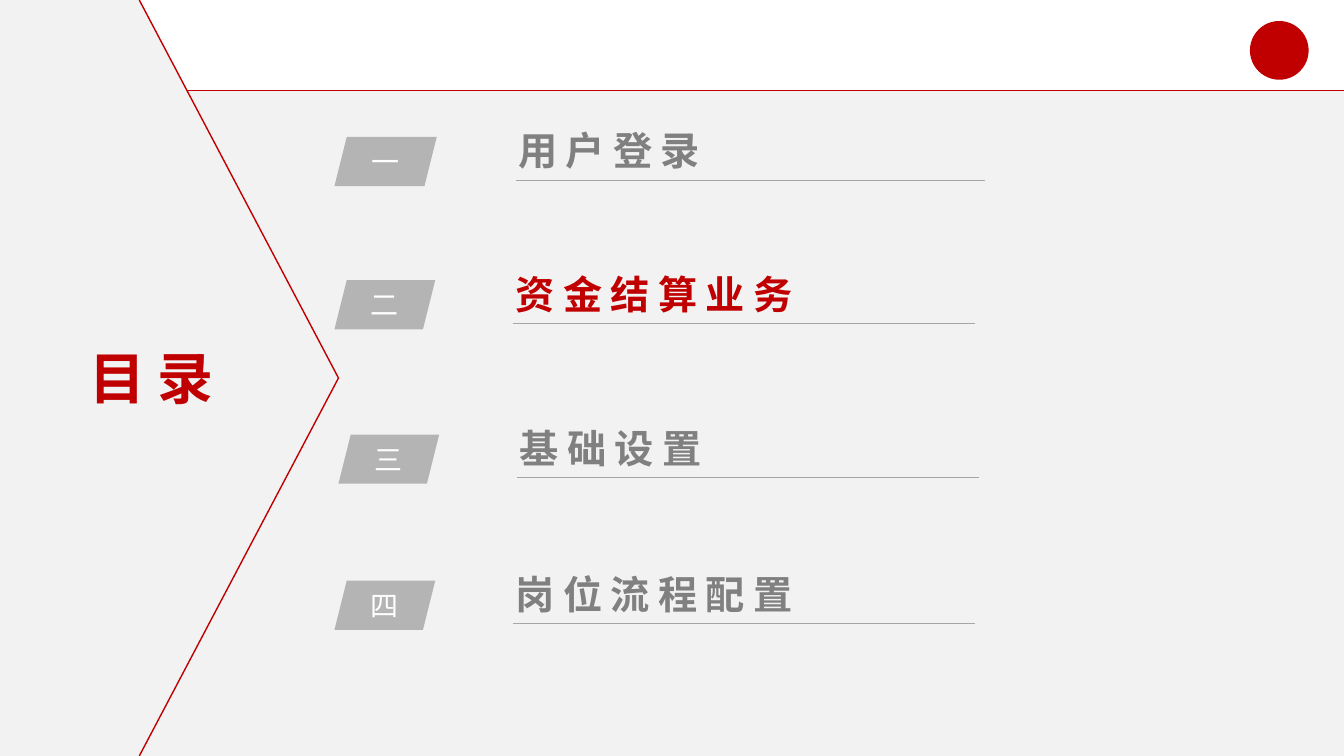
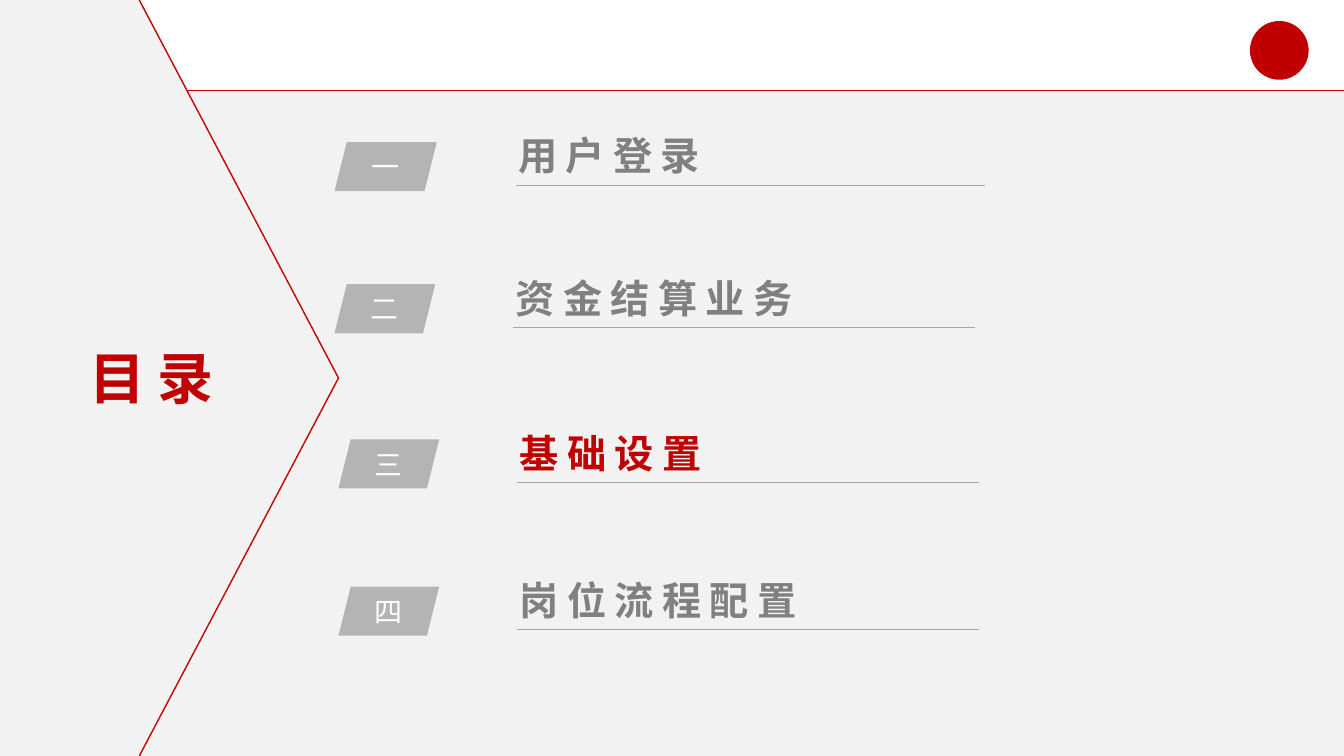
from pptx import Presentation
from pptx.dml.color import RGBColor
from pptx.enum.shapes import MSO_CONNECTOR, MSO_SHAPE as SHAPE
from pptx.enum.text import MSO_ANCHOR as ANCHOR, MSO_AUTO_SIZE as FIT, PP_ALIGN as ALIGN
from pptx.oxml.ns import qn
from pptx.util import Cm, Pt
from lxml import etree

RED = RGBColor(0xC0, 0x00, 0x00)
WHITE = RGBColor(0xFF, 0xFF, 0xFF)
PALE = RGBColor(0xF2, 0xF2, 0xF2)
TAG_GREY = RGBColor(0xB4, 0xB4, 0xB4)
TEXT_GREY = RGBColor(0x80, 0x80, 0x80)
RULE_GREY = RGBColor(0xA6, 0xA6, 0xA6)
FONT = "Arial"

# Sizes in centimetres
WIDTH, HEIGHT = 33.87, 19.05
BAND_TOP = 2.29
PANEL_EDGE, PANEL_TIP = 3.51, 8.53
TAG_W, TAG_H = 2.54, 1.24

# Agenda rows: number, label, horizontal stretch, label width
ROWS = [
    ("一", "用户登录", 1.015, 21.06),
    ("二", "资金结算业务", 1, 16.89),
    ("三", "基础设置", 1, 16.89),
    ("四", "岗位流程配置", 1, 16.89),
]

# Slides: highlighted row, then left and top of each number tag
SLIDES = [
    (1, [(8.43, 3.45), (8.43, 7.06), (8.53, 10.95), (8.43, 14.63)]),
    (2, [(8.43, 3.58), (8.43, 7.16), (8.53, 11.07), (8.53, 14.78)]),
]


class Deck:
    """Holds the style and the current slide."""

    def __init__(self):
        self.prs = Presentation()
        self.prs.slide_width, self.prs.slide_height = Cm(WIDTH), Cm(HEIGHT)
        self.slide = None

    def add_slide(self, title):
        self.slide = self.prs.slides.add_slide(self.prs.slide_layouts[5])
        self.frame()
        self.title(title)

    # Basic elements
    def paint(self, sp, color):
        sp.shadow.inherit = False
        sp.fill.solid()
        sp.fill.fore_color.rgb = color
        sp.line.fill.background()
        return sp

    def shape(self, kind, x, y, w, h, color):
        sp = self.slide.shapes.add_shape(kind, Cm(x), Cm(y), Cm(w), Cm(h))
        return self.paint(sp, color)

    def line(self, x1, y1, x2, y2, color, width):
        ln = self.slide.shapes.add_connector(
            MSO_CONNECTOR.STRAIGHT, Cm(x1), Cm(y1), Cm(x2), Cm(y2))
        ln.line.color.rgb = color
        ln.line.width = Pt(width)
        etree.SubElement(ln._element.spPr, qn("a:effectLst"))

    def text(self, tf, text, size, color, bold=False, align=ALIGN.LEFT):
        tf.text = text
        p = tf.paragraphs[0]
        p.alignment = align
        r = p.runs[0]
        r.font.name, r.font.size, r.font.bold = FONT, Pt(size), bold
        r.font.color.rgb = color
        return p

    # Shared background: band, corner mark and pointed side panel
    def frame(self):
        self.shape(SHAPE.RECTANGLE, 0, BAND_TOP, WIDTH, HEIGHT - BAND_TOP, PALE)
        self.line(0, BAND_TOP, WIDTH, BAND_TOP, RED, 0.75)
        self.shape(SHAPE.OVAL, 31.5, 0.53, 1.48, 1.48, RED)
        tip = (PANEL_TIP, HEIGHT / 2)
        outline = [(PANEL_EDGE, 0), tip, (PANEL_EDGE, HEIGHT), (0, HEIGHT)]
        fb = self.slide.shapes.build_freeform(0, 0)
        fb.add_line_segments([(Cm(x), Cm(y)) for x, y in outline])
        self.paint(fb.convert_to_shape(), PALE)
        for y in (0, HEIGHT):
            self.line(PANEL_EDGE, y, *tip, RED, 1)

    def title(self, text):
        sp = self.slide.shapes.title
        sp.left, sp.top, sp.width, sp.height = Cm(1.93), Cm(8.53), Cm(3.78), Cm(1.96)
        tf = sp.text_frame
        self.text(tf, text, 40, RED, True, ALIGN.CENTER)
        tf.word_wrap = False
        tf.auto_size = FIT.SHAPE_TO_FIT_TEXT
        tf.vertical_anchor = ANCHOR.TOP
        # Bring the title in front of the panel
        self.slide.shapes._spTree.append(sp._element)

    # Agenda row: number tag, label and rule
    def tag(self, number, x, y, w):
        sp = self.shape(SHAPE.PARALLELOGRAM, x, y, w, TAG_H, TAG_GREY)
        tf = sp.text_frame
        tf.margin_left = tf.margin_right = tf.margin_top = tf.margin_bottom = 0
        tf.vertical_anchor = ANCHOR.MIDDLE
        self.text(tf, number, 20, WHITE, align=ALIGN.CENTER)

    def label(self, text, x, y, w, color):
        tb = self.slide.shapes.add_textbox(Cm(x), Cm(y), Cm(w), Cm(1.33))
        tf = tb.text_frame
        tf.word_wrap = True
        p = self.text(tf, text, 28, color, True)
        p.line_spacing = 0.9
        p.runs[0]._r.get_or_add_rPr().set("spc", "600")

    def row(self, number, text, stretch, label_w, x, y, color):
        self.tag(number, x, y, TAG_W * stretch)
        self.label(text, x + 4.32 * stretch, y - 0.25, label_w, color)
        rule_x, rule_y = x + 4.5 * stretch, y + 1.09
        self.line(rule_x, rule_y, rule_x + 11.64 * stretch, rule_y, RULE_GREY, 0.5)


def main():
    deck = Deck()
    for current, places in SLIDES:
        deck.add_slide("目 录")
        for i, (row, place) in enumerate(zip(ROWS, places)):
            deck.row(*row, *place, RED if i == current else TEXT_GREY)
    deck.prs.save("out.pptx")


if __name__ == "__main__":
    main()
